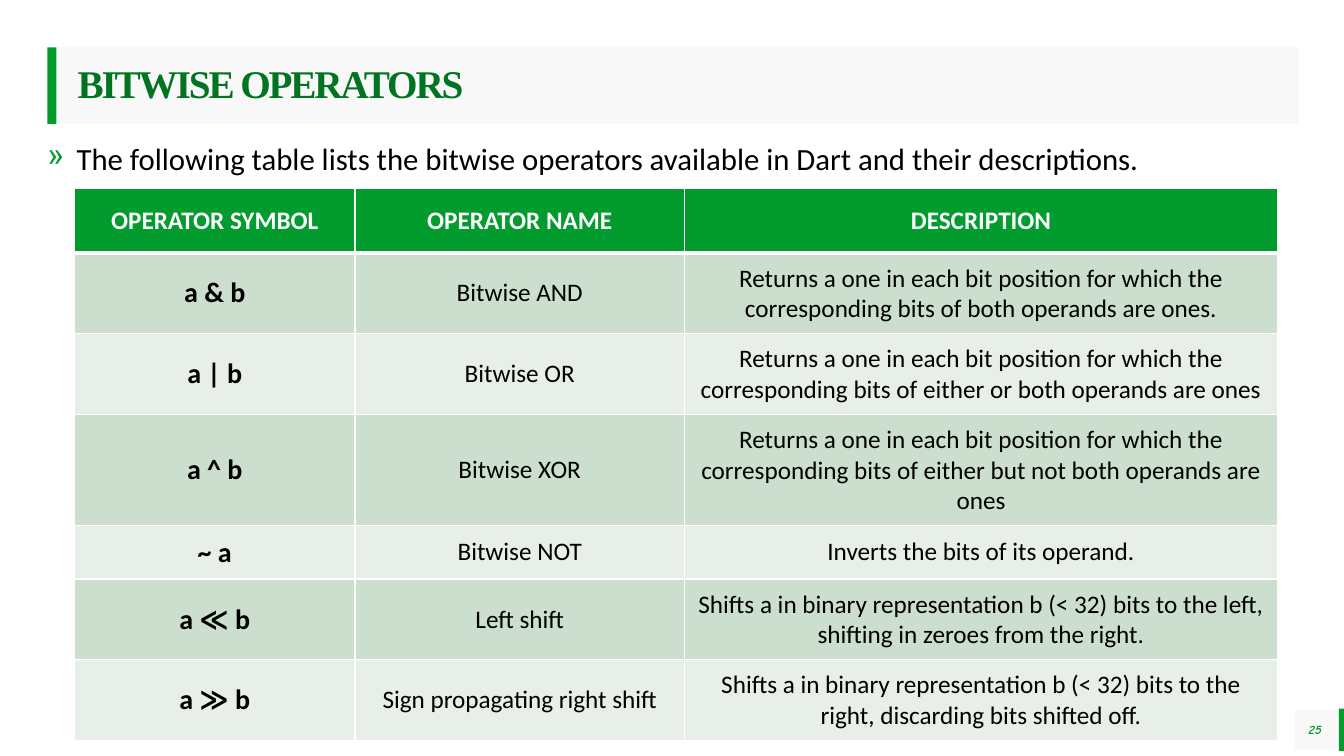
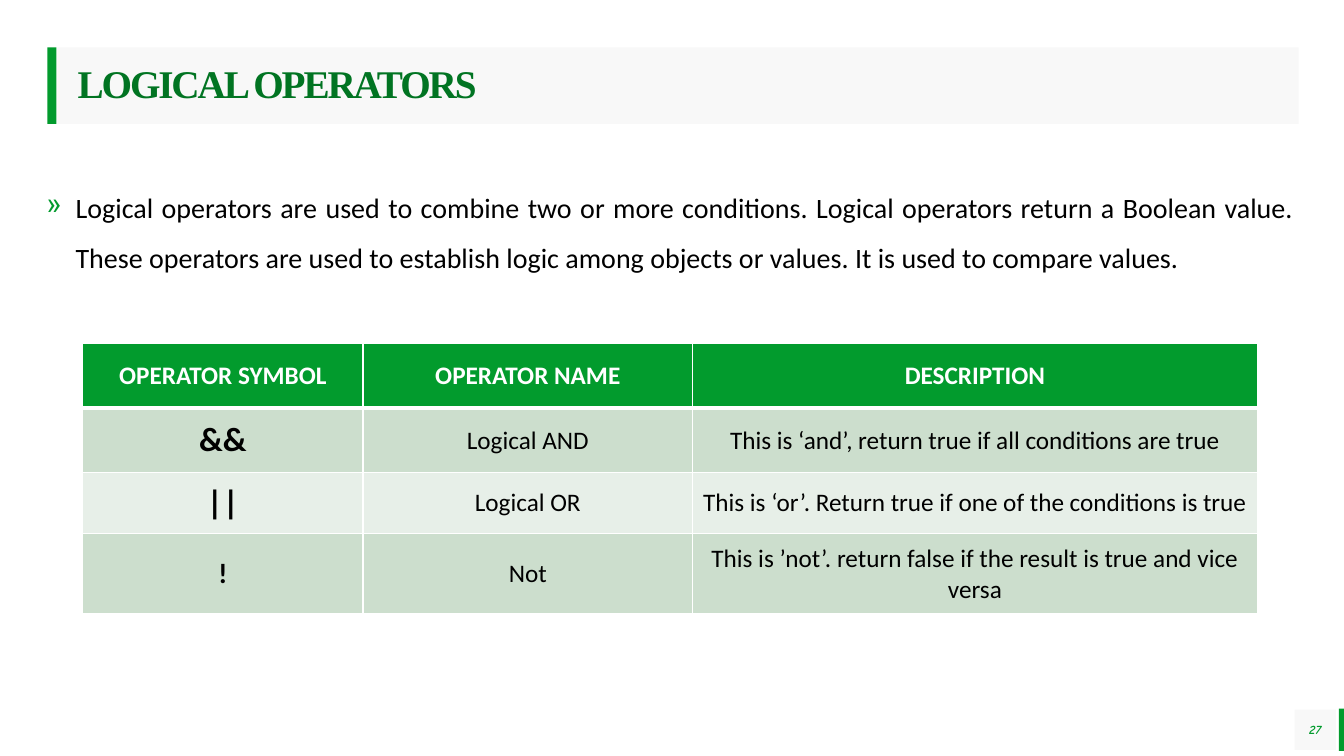
from dataclasses import dataclass

import pptx
import pptx.dml.color
import pptx.enum.shapes
import pptx.enum.text
import pptx.oxml
import pptx.oxml.ns
import pptx.util
from lxml import etree

HEADINGS = ("OPERATOR SYMBOL", "OPERATOR NAME", "DESCRIPTION")

# A table row is: symbol, symbol size, operator name, description.
SLIDES = [
    {
        "title": "BITWISE OPERATORS",
        "number": "25",
        "intro": "The following table lists the bitwise operators available in Dart "
                 "and their descriptions.",
        "intro_size": 22,
        "intro_area": (0.47, 1.2, 12.37, 0.76),
        "table_corner": (0.74, 1.87),
        "columns": (2.78, 3.27, 5.88),
        "rows": [
            ("a & b", 20, "Bitwise AND",
             "Returns a one in each bit position for which the corresponding bits "
             "of both operands are ones."),
            ("a | b", 20, "Bitwise OR",
             "Returns a one in each bit position for which the corresponding bits "
             "of either or both operands are ones"),
            ("a ^ b", 20, "Bitwise XOR",
             "Returns a one in each bit position for which the corresponding bits "
             "of either but not both operands are ones"),
            ("~ a", 20, "Bitwise NOT", "Inverts the bits of its operand."),
            ("a ≪ b", 20, "Left shift",
             "Shifts a in binary representation b (< 32) bits to the left, "
             "shifting in zeroes from the right."),
            ("a ≫ b", 20, "Sign propagating right shift",
             "Shifts a in binary representation b (< 32) bits to the right, "
             "discarding bits shifted off."),
        ],
    },
    {
        "title": "LOGICAL OPERATORS",
        "number": "27",
        "intro": "Logical operators are used to combine two or more conditions. "
                 "Logical operators return a Boolean value. These operators are used "
                 "to establish logic among objects or values. "
                 "It is used to compare values.",
        "intro_size": 20,
        "intro_area": (0.46, 1.72, 12.37, 1.29),
        "table_corner": (0.82, 3.41),
        "columns": (2.78, 3.27, 5.6),
        "rows": [
            ("&&", 24, "Logical AND",
             "This is ‘and’, return true if all conditions are true"),
            ("||", 24, "Logical OR",
             "This is ‘or’. Return true if one of the conditions is true"),
            ("!", 20, "Not",
             "This is ’not’. return false if the result is true and vice versa"),
        ],
    },
]


@dataclass(frozen=True)
class Theme:
    accent: str = "029B2D"
    title: str = "017422"
    panel: str = "F2F2F2"
    ink: str = "000000"
    white: str = "FFFFFF"
    bands: tuple = ("CCDECD", "E7EFE8")
    title_font: str = "Times New Roman"
    body_font: str = "Calibri"
    number_font: str = "Comic Neue"
    title_size: int = 28
    cell_size: int = 18
    number_size: int = 9
    title_tracking: int = -150
    rule: int = 1
    header_rule: int = 3


THEME = Theme()
INCH = pptx.util.Inches
ALIGN = pptx.enum.text.PP_ALIGN
MIDDLE = pptx.enum.text.MSO_ANCHOR.MIDDLE
SLIDE_SIZE = (13.33, 7.5)
TITLE_AREA = (0.57, 0.47, 12.31, 0.76)
TITLE_BAR = (0.47, 0.47, 0.09, 0.76)
NUMBER_AREA = (12.84, 7.04, 0.41, 0.4)
NUMBER_BAR = (13.28, 7.03, 0.05, 0.42)
BULLET_INDENT = 0.29
CELL_MARGIN = 0.1
TALL_ROWS, TALL_HEIGHT, ROW_HEIGHT = 2, 0.64, 0.52


def rgb(colour):
    return pptx.dml.color.RGBColor.from_string(colour)


def inches(area):
    return [INCH(length) for length in area]


def set_margins(target, left=0, rest=0):
    target.margin_left = INCH(left)
    target.margin_top = target.margin_right = target.margin_bottom = INCH(rest)


def set_font(para, name, size, colour, bold=False, italic=False):
    font = para.font
    font.name, font.size = name, pptx.util.Pt(size)
    font.bold, font.italic = bold, italic
    font.color.rgb = rgb(colour)


def add_block(slide, area, colour, opacity=None):
    block = slide.shapes.add_shape(
        pptx.enum.shapes.MSO_SHAPE.RECTANGLE, *inches(area))
    block.shadow.inherit = False
    block.fill.solid()
    block.fill.fore_color.rgb = rgb(colour)
    block.line.fill.background()
    if opacity is not None:
        tint = block.fill._xPr.find(".//" + pptx.oxml.ns.qn("a:srgbClr"))
        alpha = etree.SubElement(tint, pptx.oxml.ns.qn("a:alpha"))
        alpha.set("val", str(opacity * 1000))
    return block


def add_panel(slide, area, text, left_margin=0):
    """Add a pale half-transparent panel and return its only paragraph."""
    frame = add_block(slide, area, THEME.panel, opacity=50).text_frame
    frame.word_wrap = True
    frame.vertical_anchor = MIDDLE
    set_margins(frame, left=left_margin)
    para = frame.paragraphs[0]
    para.add_run().text = text
    return para


def add_frame(slide, title, number):
    """Add the title band, the page number and their accent bars."""
    for bar in (TITLE_BAR, NUMBER_BAR):
        add_block(slide, bar, THEME.accent)

    heading = add_panel(slide, TITLE_AREA, title, left_margin=0.2)
    heading.alignment = ALIGN.LEFT
    heading.line_spacing = 0.9
    set_font(heading, THEME.title_font, THEME.title_size, THEME.title, bold=True)
    tracking = heading.runs[0]._r.get_or_add_rPr()
    tracking.set("spc", str(THEME.title_tracking))

    page = add_panel(slide, NUMBER_AREA, number)
    page.alignment = ALIGN.CENTER
    set_font(page, THEME.number_font, THEME.number_size, THEME.accent,
             bold=True, italic=True)


def add_bullet(para):
    properties = para._p.get_or_add_pPr()
    properties.set("marL", str(INCH(BULLET_INDENT)))
    properties.set("indent", str(-INCH(BULLET_INDENT)))
    colour = etree.SubElement(properties, pptx.oxml.ns.qn("a:buClr"))
    etree.SubElement(colour, pptx.oxml.ns.qn("a:srgbClr")).set("val", THEME.accent)
    etree.SubElement(properties, pptx.oxml.ns.qn("a:buChar")).set("char", "»")


def add_intro(slide, text, size, area):
    frame = slide.shapes.add_textbox(*inches(area)).text_frame
    frame.word_wrap = True
    set_margins(frame)
    para = frame.paragraphs[0]
    para.text = text
    para.alignment = ALIGN.JUSTIFY
    para.line_spacing = 1.5
    add_bullet(para)
    set_font(para, THEME.body_font, size, THEME.ink)


def add_borders(cell, top, bottom):
    properties = cell._tc.get_or_add_tcPr()
    widths = {"L": THEME.rule, "R": THEME.rule, "T": top, "B": bottom}
    for side, width in widths.items():
        line = etree.SubElement(properties, pptx.oxml.ns.qn("a:ln" + side))
        line.set("w", str(pptx.util.Pt(width)))
        fill = etree.SubElement(line, pptx.oxml.ns.qn("a:solidFill"))
        etree.SubElement(fill, pptx.oxml.ns.qn("a:srgbClr")).set("val", THEME.white)


def fill_cell(cell, text, row, size, colour, bold):
    add_borders(cell,
                top=THEME.header_rule if row == 1 else THEME.rule,
                bottom=THEME.header_rule if row == 0 else THEME.rule)
    cell.fill.solid()
    cell.fill.fore_color.rgb = rgb(
        THEME.bands[(row - 1) % 2] if row else THEME.accent)
    cell.vertical_anchor = MIDDLE
    set_margins(cell, CELL_MARGIN, CELL_MARGIN)
    para = cell.text_frame.paragraphs[0]
    para.text = text
    para.alignment = ALIGN.CENTER
    set_font(para, THEME.body_font, size, colour, bold)


def add_operator_table(slide, corner, columns, rows):
    heights = [TALL_HEIGHT if row < TALL_ROWS else ROW_HEIGHT
               for row in range(len(rows) + 1)]
    area = (*corner, sum(columns), sum(heights))
    table = slide.shapes.add_table(
        len(heights), len(columns), *inches(area)).table
    table.horz_banding = False
    for column, width in zip(table.columns, columns):
        column.width = INCH(width)
    for row, height in zip(table.rows, heights):
        row.height = INCH(height)

    for column, heading in enumerate(HEADINGS):
        fill_cell(table.cell(0, column), heading, 0,
                  THEME.cell_size, THEME.white, bold=True)
    for row, (symbol, symbol_size, name, description) in enumerate(rows, start=1):
        for column, text in enumerate((symbol, name, description)):
            is_symbol = column == 0
            fill_cell(table.cell(row, column), text, row,
                      symbol_size if is_symbol else THEME.cell_size,
                      THEME.ink, bold=is_symbol)


def main():
    deck = pptx.Presentation()
    deck.slide_width, deck.slide_height = inches(SLIDE_SIZE)
    blank = deck.slide_layouts[6]
    for content in SLIDES:
        slide = deck.slides.add_slide(blank)
        add_intro(slide, content["intro"], content["intro_size"],
                  content["intro_area"])
        add_frame(slide, content["title"], content["number"])
        add_operator_table(slide, content["table_corner"], content["columns"],
                           content["rows"])
    deck.save("out.pptx")


if __name__ == "__main__":
    main()
